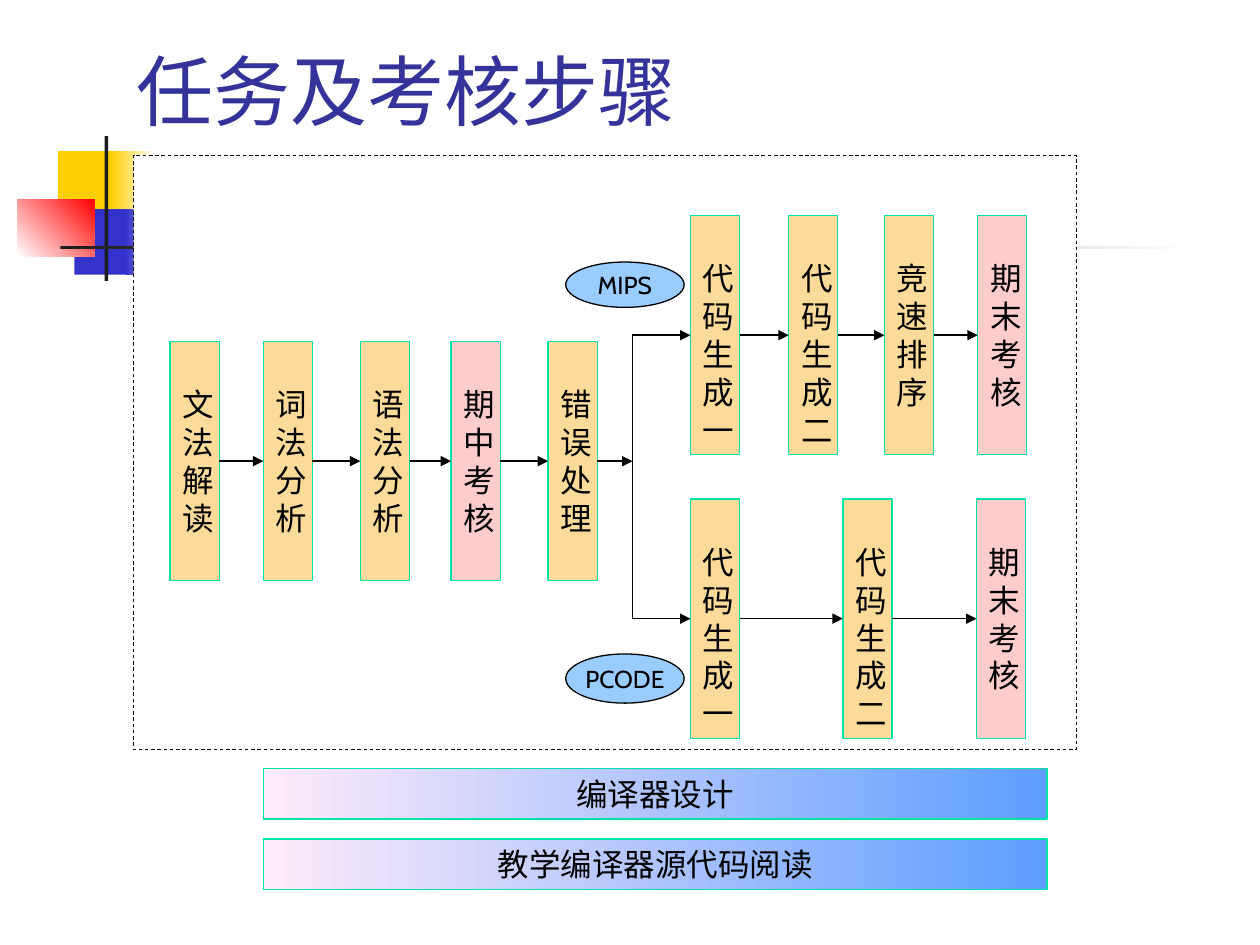
"""Build the slide on tasks and assessment steps."""
from lxml import etree
from pptx import Presentation
from pptx.dml.color import RGBColor
from pptx.enum.dml import MSO_LINE
from pptx.enum.shapes import MSO_CONNECTOR, MSO_SHAPE
from pptx.enum.text import MSO_ANCHOR, MSO_AUTO_SIZE, PP_ALIGN
from pptx.oxml.ns import qn
from pptx.util import Inches, Pt

RECT, OVAL = MSO_SHAPE.RECTANGLE, MSO_SHAPE.OVAL
LINE = MSO_CONNECTOR.STRAIGHT
DASH = MSO_LINE.DASH
TOP, MID, LOW = MSO_ANCHOR.TOP, MSO_ANCHOR.MIDDLE, MSO_ANCHOR.BOTTOM
LEFT, CENTER = PP_ALIGN.LEFT, PP_ALIGN.CENTER
FIXED = MSO_AUTO_SIZE.NONE
RIGHT_SIDE, LEFT_SIDE = 3, 1

FONT = "Cabin"
BLACK, WHITE, GREEN = "000000", "FFFFFF", "00E4A8"
GOLD, BLUE, RED, DARK = "FFCF01", "3333CC", "FF0000", "1C1C1C"
TASK, EXAM = "FCDB9A", "FFCCCC"
STEP_W, STEP_H = 0.39, 1.9
FORK = 5.02

DECOR = [
    ((0.46, 1.2, 0.48, 0.52), [GOLD], 0),
    ((0.88, 1.2, 0.36, 0.52), [GOLD, WHITE], 0),
    ((0.59, 1.66, 0.46, 0.52), [BLUE], 0),
    ((1, 1.66, 0.4, 0.52), [BLUE, WHITE], 0),
    ((0.14, 1.58, 0.61, 0.46), [WHITE, RED], 45),
    ((0.83, 1.08, 0.03, 1.15), [DARK], 0),
    ((0.48, 1.95, 9, 0.03), [DARK, WHITE], 0),
]
MAIN = [(1.35, "文法解读", TASK), (2.09, "词法分析", TASK), (2.86, "语法分析", TASK),
        (3.58, "期中考核", EXAM), (4.35, "错误处理", TASK)]
MIPS = [(5.48, "代码生成一", TASK), (6.26, "代码生成二", TASK),
        (7.02, "竞速排序", TASK), (7.76, "期末考核", EXAM)]
PCODE = [(5.48, "代码生成一", TASK), (6.69, "代码生成二", TASK), (7.75, "期末考核", EXAM)]


def color(code):
    """Turn a hex string into a colour."""
    return RGBColor.from_string(code)


def apply(item, values):
    """Set each attribute of the item from a dict."""
    for name, value in values.items():
        setattr(item, name, value)


def paint(shape, codes, angle=0):
    """Fill a shape with one colour or a two-colour gradient."""
    fill = shape.fill
    if len(codes) == 1:
        fill.solid()
        fill.fore_color.rgb = color(codes[0])
        return
    fill.gradient()
    fill.gradient_angle = angle
    for stop, code in zip(fill.gradient_stops, codes):
        stop.color.rgb = color(code)


def add_box(slide, spot, codes, edge=None, kind=RECT, angle=0):
    """Add a filled shape with an optional outline."""
    box = slide.shapes.add_shape(kind, *map(Inches, spot))
    box.shadow.inherit = False
    paint(box, codes, angle)
    if edge:
        box.line.color.rgb = color(edge)
        box.line.width = Pt(0.75)
    else:
        box.line.fill.background()
    return box


def write(shape, text, size, code=BLACK, align=CENTER, **frame):
    """Put one formatted paragraph into a shape."""
    apply(shape.text_frame, {"word_wrap": True, "auto_size": FIXED, **frame})
    para = shape.text_frame.paragraphs[0]
    para.text = text
    para.alignment = align
    apply(para.font, {"name": FONT, "size": Pt(size)})
    para.font.color.rgb = color(code)


def add_line(slide, start, end, head=True):
    """Draw a line between two points or step boxes."""
    line = slide.shapes.add_connector(LINE, 0, 0, 0, 0)
    if isinstance(start, tuple):
        line.begin_x, line.begin_y = map(Inches, start)
    else:
        line.begin_connect(start, RIGHT_SIDE)
    if isinstance(end, tuple):
        line.end_x, line.end_y = map(Inches, end)
    else:
        line.end_connect(end, LEFT_SIDE)
    line.line.color.rgb = color(BLACK)
    line.line.width = Pt(0.75)
    if head:
        etree.SubElement(line.line._get_or_add_ln(), qn("a:tailEnd"), type="triangle")
    etree.SubElement(line._element.spPr, qn("a:effectLst"))


def add_row(slide, top, steps):
    """Add a row of upright steps joined by arrows."""
    row = []
    for left, text, code in steps:
        box = add_box(slide, (left, top, STEP_W, STEP_H), [code], GREEN)
        write(box, text, 18, vertical_anchor=TOP, margin_top=Inches(0.35))
        row.append(box)
    for start, end in zip(row, row[1:]):
        add_line(slide, start, end)
    return row


def add_flow(slide):
    """Add the main row and the two branches."""
    tops = main_top, mips_top, pcode_top = 2.71, 1.71, 3.96
    main, mips, pcode = [add_row(slide, top, steps)
                         for top, steps in zip(tops, (MAIN, MIPS, PCODE))]
    half = STEP_H / 2
    high, low = (FORK, mips_top + half), (FORK, pcode_top + half)
    add_line(slide, main[-1], (FORK, main_top + half))
    add_line(slide, high, low, head=False)
    add_line(slide, high, mips[0])
    add_line(slide, low, pcode[0])
    for text, top, tall in (("MIPS", 2.08, 0.36), ("PCODE", 5.19, 0.39)):
        label = add_box(slide, (4.49, top, 0.94, tall), ["99CCFF"], BLACK, OVAL)
        write(label, text, 14, vertical_anchor=MID, word_wrap=False)


def add_title(slide, text):
    """Place and fill the title."""
    title = slide.shapes.title
    spot = map(Inches, (0.98, 0.21, 8.52, 0.92))
    apply(title, dict(zip(("left", "top", "width", "height"), spot)))
    write(title, text, 44, "333399", LEFT, vertical_anchor=LOW)


def main():
    """Build and save the deck."""
    deck = Presentation()
    apply(deck, {"slide_width": Inches(10), "slide_height": Inches(7.5)})
    slide = deck.slides.add_slide(deck.slide_layouts[5])
    add_title(slide, "任务及考核步骤")
    for spot, codes, angle in DECOR:
        add_box(slide, spot, codes, angle=angle)
    panel = add_box(slide, (1.06, 1.23, 7.48, 4.72), [WHITE], BLACK)
    apply(panel.line, {"width": Pt(0.5), "dash_style": DASH})
    for top, text in ((6.1, "编译器设计"), (6.66, "教学编译器源代码阅读")):
        bar = add_box(slide, (2.09, top, 6.22, 0.4), ["FFEBFA", "5E9EFF"], GREEN)
        write(bar, text, 18, vertical_anchor=TOP)
    add_flow(slide)
    deck.save("out.pptx")


if __name__ == "__main__":
    main()
